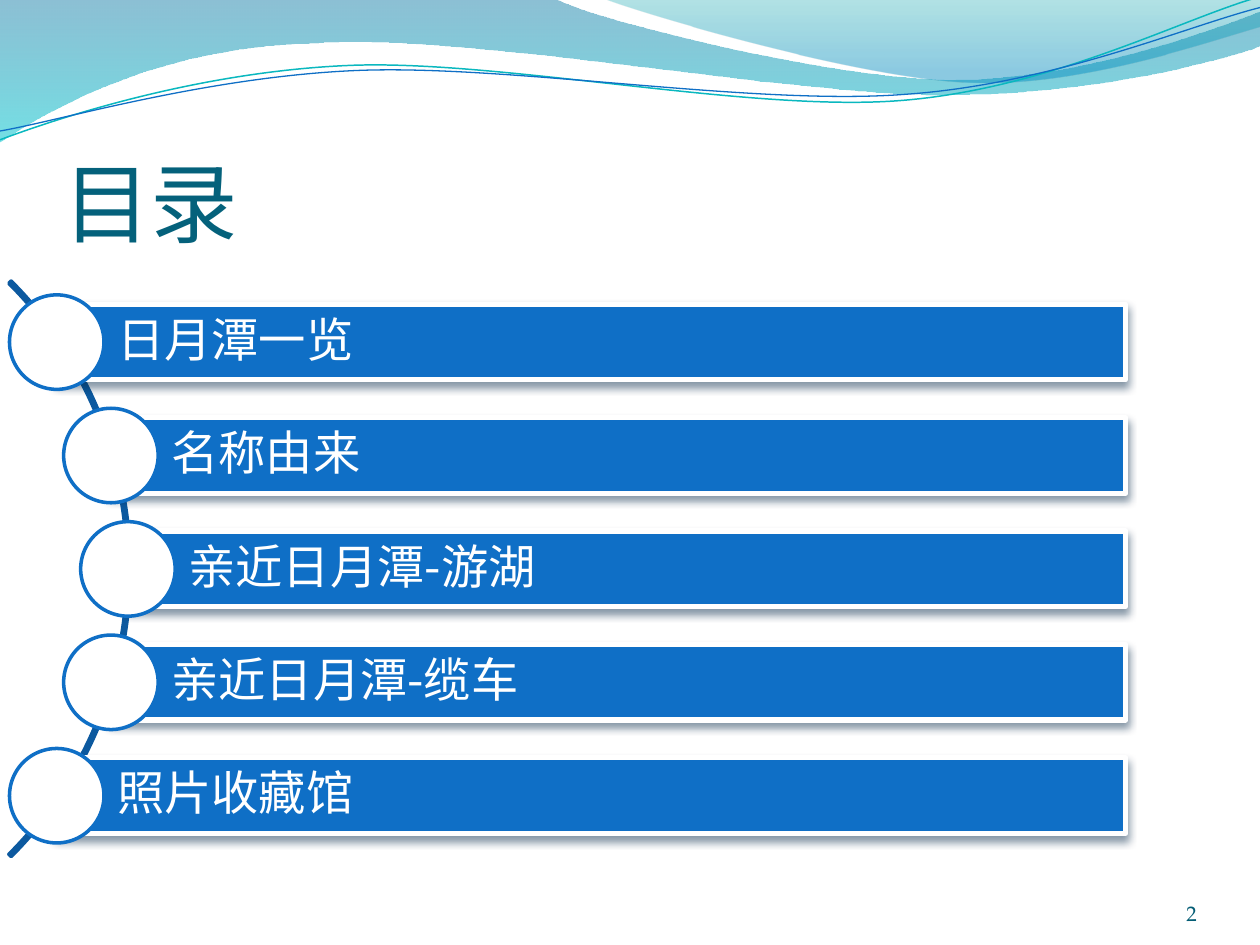
from lxml import etree
from pptx import Presentation, util as u
from pptx.dml.color import RGBColor
from pptx.enum import shapes, text
from pptx.oxml import ns

COLUMNS, ROWS = 100, 75
CELL = u.Inches(0.1)

WHITE = RGBColor(0xFF, 0xFF, 0xFF)
BLUE = RGBColor(0x0F, 0x6F, 0xC6)
ARC_BLUE = RGBColor(0x0C, 0x59, 0x9F)
TEAL = RGBColor(0x0A, 0xB8, 0xBF)
TITLE_TEAL = RGBColor(0x04, 0x61, 0x7B)
NUMBER_TEAL = RGBColor(0x04, 0x5D, 0x75)
SHADOW = RGBColor(0x04, 0x27, 0x47)
WAVE_BLUE = RGBColor(0x00, 0x74, 0xA1)
WAVE_CYAN = RGBColor(0x00, 0xC6, 0xCF)
CREST_TEAL = RGBColor(0x00, 0xA1, 0xA9)
CREST_BLUE = RGBColor(0x00, 0x8B, 0xBF)

SANS = "Noto Sans CJK SC"
SERIF = "TeX Gyre Pagella"

TOPICS = ["日月潭一览", "名称由来", "亲近日月潭-游湖", "亲近日月潭-缆车", "照片收藏馆"]
INDENTS = [0, 4.3, 5.65, 4.3, 0]

WAVES = [
    ([(0, 0), (44, -0.1), (47.6, 1.7, 66.4, 6.3, 75.8, 6.3),
      (85.3, 6.3, 95.8, 2.6, 100, 0.9), (100.1, 3.6),
      (98.3, 4.4, 87, 7.6, 74.6, 7.5), (62.2, 7.5, 38.2, 2.8, 25.7, 3.4),
      (12.9, 3.6, 4.6, 8.3, -0.1, 11.3), (0, 0)],
     [(0, WAVE_BLUE, 45), (1, WAVE_CYAN, 55)]),
    ([(47.9, -0.1), (50.9, 1.1, 68.2, 6.2, 76.9, 6.5),
      (85.6, 6.9, 96.1, 3.2, 100, 2.1), (100, 0), (47.9, -0.1)],
     [(0, CREST_TEAL, 30), (0.8, CREST_BLUE, 45)]),
]
RIPPLES = [
    ([(0, 11.1), (4.8, 9.3, 15.8, 5.7, 27.7, 5.2),
      (39.5, 4.7, 59.3, 8.9, 71.3, 8), (83.3, 7.1, 93.8, 1.5, 99.8, -0.2)], TEAL, 0.85),
    ([(0, 10.4), (4.7, 9.6, 16.4, 6.1, 28.3, 5.6),
      (40.3, 5.1, 59.7, 8.4, 71.7, 7.5), (83.6, 6.7, 94.1, 2.1, 100, 0.6)], BLUE, 0.75),
]


def cells(*counts):
    return [round(count * CELL) for count in counts]


def add_alpha(color_element, percent):
    etree.SubElement(color_element, ns.qn("a:alpha"), val=str(percent * 1000))


def add_text(shape, words, size, color, font, anchor, align=text.PP_ALIGN.LEFT,
             insets=(0, 0, 0, 0), line_spacing=None):
    frame = shape.text_frame
    frame.word_wrap = True
    frame.vertical_anchor = anchor
    frame.margin_left, frame.margin_top, frame.margin_right, frame.margin_bottom = cells(*insets)
    paragraph = frame.paragraphs[0]
    paragraph.alignment = align
    paragraph.line_spacing = line_spacing
    run = paragraph.add_run()
    run.text = words
    run.font.size = u.Pt(size)
    run.font.color.rgb = color
    run.font.name = font
    etree.SubElement(run.font._element, ns.qn("a:ea"), typeface=font)


def add_preset(slide, kind, box, fill, line, width):
    shape = slide.shapes.add_shape(kind, *cells(*box))
    shape.shadow.inherit = False
    if fill is None:
        shape.fill.background()
    else:
        shape.fill.solid()
        shape.fill.fore_color.rgb = fill
    shape.line.color.rgb = line
    shape.line.width = u.Pt(width)
    return shape


def bend_segments(shape, steps):
    segments = iter(list(shape._element.spPr.iter(ns.qn("a:lnTo"))))
    for step in steps:
        group = [next(segments) for _ in range(len(step) // 2)]
        if len(group) == 3:
            curve = etree.Element(ns.qn("a:cubicBezTo"))
            group[0].addprevious(curve)
            for segment in group:
                curve.append(segment[0])
                segment.getparent().remove(segment)


def add_outline(slide, steps, left, top, close):
    points = [cells(left + step[i], top + step[i + 1])
              for step in steps for i in range(0, len(step), 2)]
    builder = slide.shapes.build_freeform(*points[0])
    builder.add_line_segments(points[1:], close=close)
    shape = builder.convert_to_shape()
    bend_segments(shape, steps[1:])
    shape.shadow.inherit = False
    return shape


def add_wave_band(slide, left, top):
    for steps, stops in WAVES:
        wave = add_outline(slide, steps, left, top, True)
        wave.line.fill.background()
        wave.fill.gradient()
        wave.fill.gradient_angle = 270
        for stop, (position, color, opacity) in zip(wave.fill.gradient_stops, stops):
            stop.position = position
            stop.color.rgb = color
            add_alpha(stop._gs[0], opacity)
    for steps, color, width in RIPPLES:
        ripple = add_outline(slide, steps, left, top, False)
        ripple.fill.background()
        ripple.line.color.rgb = color
        ripple.line.width = u.Pt(width)


def add_title(slide, box):
    add_text(slide.shapes.add_textbox(*cells(*box)), "目录", size=50, color=TITLE_TEAL,
             font=SANS, anchor=text.MSO_ANCHOR.BOTTOM, insets=(0, 0.5, 0, 0))


def add_bar_shadow(bar):
    effects = bar._element.spPr.find(ns.qn("a:effectLst"))
    outer = etree.SubElement(effects, ns.qn("a:outerShdw"), blurRad=str(u.Pt(4.5)),
                             dist=str(u.Pt(3)), dir="5400000", rotWithShape="0")
    add_alpha(etree.SubElement(outer, ns.qn("a:srgbClr"), val=str(SHADOW)), 48)


def add_topics(slide, left, top, width, height):
    bar_height, circle, arc_size, arc_right = 6, 7.5, 64.6, 5.85
    pitch = (height - bar_height) / (len(TOPICS) - 1)
    arc_box = (left + arc_right - arc_size, top + (height - arc_size) / 2, arc_size, arc_size)
    arc = add_preset(slide, shapes.MSO_SHAPE.BLOCK_ARC, arc_box, None, ARC_BLUE, 2)
    for index, adjustment in enumerate((189, 27, 0.004)):
        arc.adjustments[index] = adjustment
    for row, (topic, indent) in enumerate(zip(TOPICS, INDENTS)):
        x, y = left + indent, top + row * pitch
        bar = add_preset(slide, shapes.MSO_SHAPE.RECTANGLE,
                         (x, y, width - indent, bar_height), BLUE, WHITE, 3)
        add_bar_shadow(bar)
        add_text(bar, topic, size=27, color=WHITE, font=SANS, anchor=text.MSO_ANCHOR.MIDDLE,
                 insets=(4.8, 0.7, 0.7, 0.7), line_spacing=0.9)
        add_preset(slide, shapes.MSO_SHAPE.OVAL,
                   (x - circle / 2, y + (bar_height - circle) / 2, circle, circle),
                   WHITE, BLUE, 2)


def add_slide_number(slide, box):
    add_text(slide.shapes.add_textbox(*cells(*box)), "2", size=12, color=NUMBER_TEAL,
             font=SERIF, anchor=text.MSO_ANCHOR.BOTTOM, align=text.PP_ALIGN.RIGHT)


def main():
    presentation = Presentation()
    presentation.slide_width, presentation.slide_height = cells(COLUMNS, ROWS)
    slide = presentation.slides.add_slide(presentation.slide_layouts[6])
    add_wave_band(slide, 0, 0)
    add_title(slide, (5, 7.65, 90.8, 12.5))
    add_slide_number(slide, (86.7, 69.5, 8.3, 4))
    add_topics(slide, 4.5, 24.15, 84.85, 42)
    presentation.save("out.pptx")


if __name__ == "__main__":
    main()
